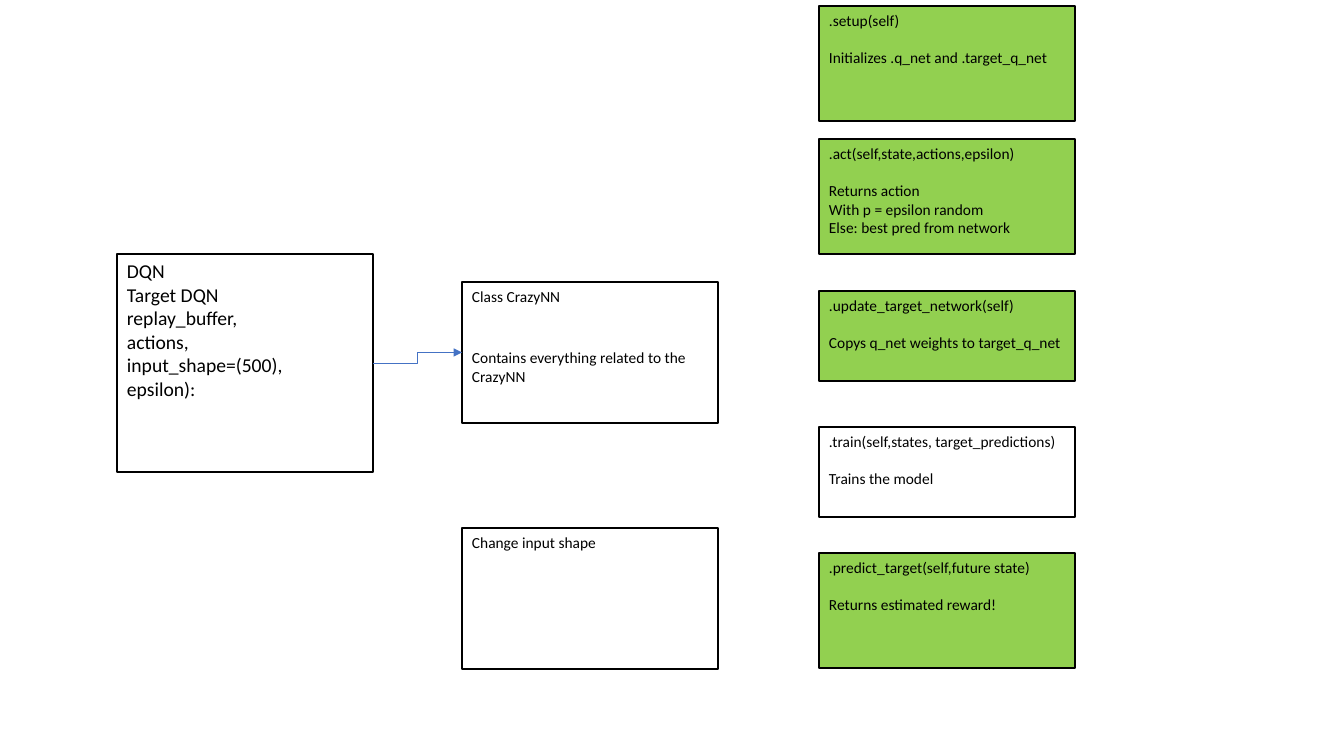
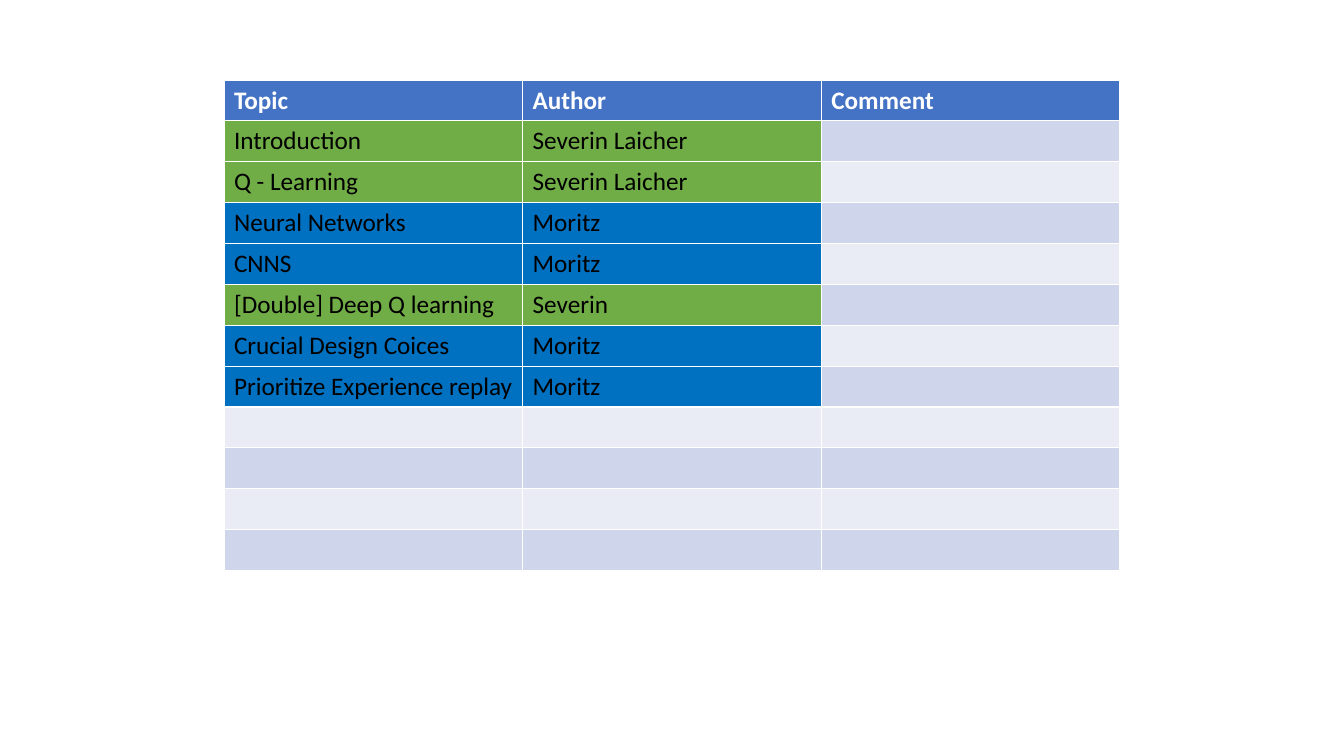
from lxml.etree import SubElement
from pptx import Presentation
from pptx.dml.color import RGBColor
from pptx.enum.shapes import MSO_CONNECTOR, MSO_SHAPE
from pptx.enum.text import MSO_ANCHOR, PP_ALIGN
from pptx.oxml.ns import qn
from pptx.util import Emu, Pt

FONT = "Calibri"
BLACK, WHITE, BLUE = "000000", "FFFFFF", "4472C4"
DONE = "92D050"
BANDS = ("CFD5EA", "E9EBF5")
BOX_WIDTH = 256
METHOD_LEFT, CLASS_LEFT = 819, 462

PARAMETERS = ["DQN", "Target DQN", "replay_buffer,", "actions,", "input_shape=(500),", "epsilon):"]
CLASS_LINES = ["Class CrazyNN", "Contains everything related to the CrazyNN"]
METHODS = [
    (6, 115, DONE, [".setup(self)", "Initializes .q_net and .target_q_net"]),
    (139, 115, DONE, [".act(self,state,actions,epsilon)", "Returns action",
                      "With p = epsilon random", "Else: best pred from network"]),
    (291, 90, DONE, [".update_target_network(self)", "Copys q_net weights to target_q_net"]),
    (427, 90, WHITE, [".train(self,states, target_predictions)", "Trains the model"]),
    (553, 115, DONE, [".predict_target(self,future state)", "Returns estimated reward!"]),
]

HEADERS = ["Topic", "Author", "Comment"]
TOPICS = [
    ("Introduction", "Severin Laicher"),
    ("Q - Learning", "Severin Laicher"),
    ("Neural Networks", "Moritz"),
    ("CNNS", "Moritz"),
    ("[Double] Deep Q learning", "Severin"),
    ("Crucial Design Coices", "Moritz"),
    ("Prioritize Experience replay", "Moritz"),
]
AUTHOR_COLORS = {"Severin": "70AD47", "Moritz": "0070C0"}
ROW_COUNT = 12


def px(length):
    """Turn pixels into EMU."""
    return Emu(round(length * 914400 / 100.8))


def color(value):
    """Turn a hex string into a colour."""
    return RGBColor.from_string(value)


def paint(target, value):
    """Give a shape or cell a solid fill."""
    target.fill.solid()
    target.fill.fore_color.rgb = color(value)


def style(paragraph, size, value=BLACK, bold=False):
    """Set the font of a paragraph."""
    font = paragraph.font
    font.name, font.size, font.bold = FONT, Pt(size), bold
    font.color.rgb = color(value)


def add_box(slide, left, top, height, lines, fill=WHITE, size=11, title_gap=0):
    """Add an outlined box with a gap under its first line."""
    shape = slide.shapes.add_shape(
        MSO_SHAPE.RECTANGLE, px(left), px(top), px(BOX_WIDTH), px(height))
    shape.shadow.inherit = False
    paint(shape, fill)
    shape.line.color.rgb = color(BLACK)
    shape.line.width = Pt(1)
    frame = shape.text_frame
    frame.word_wrap = True
    frame.vertical_anchor = MSO_ANCHOR.TOP
    frame.text = "\n".join(lines)
    for paragraph in frame.paragraphs:
        paragraph.alignment = PP_ALIGN.LEFT
        style(paragraph, size)
    frame.paragraphs[0].space_after = Pt(title_gap)
    return shape


def add_arrow(slide, source, target):
    """Join the right side of one box to the left side of another."""
    connector = slide.shapes.add_connector(MSO_CONNECTOR.ELBOW, 0, 0, 0, 0)
    connector.begin_connect(source, 3)
    connector.end_connect(target, 1)
    connector.line.color.rgb = color(BLUE)
    connector.line.width = Pt(0.5)
    SubElement(connector.line._get_or_add_ln(), qn("a:tailEnd"), type="triangle")
    SubElement(connector._element.spPr, qn("a:effectLst"))


def build_classes(slide):
    """Draw the network class and its methods."""
    parameters = add_box(slide, 117, 254, 218, PARAMETERS, size=14)
    network = add_box(slide, CLASS_LEFT, 282, 141, CLASS_LINES, title_gap=30.5)
    add_arrow(slide, parameters, network)
    add_box(slide, CLASS_LEFT, 528, 141, ["Change input shape"])
    for top, height, fill, lines in METHODS:
        add_box(slide, METHOD_LEFT, top, height, lines, fill, title_gap=13.4)


def fill_cell(cell, text, fill, value=BLACK, bold=False):
    """Write and colour one table cell."""
    paint(cell, fill)
    cell.text = text
    style(cell.text_frame.paragraphs[0], 18, value, bold)


def build_topics(slide):
    """Draw the table of topics and authors."""
    table = slide.shapes.add_table(
        ROW_COUNT, len(HEADERS), px(224), px(80), px(896), px(490)).table
    for column, header in enumerate(HEADERS):
        fill_cell(table.cell(0, column), header, BLUE, WHITE, True)
    for row in range(1, ROW_COUNT):
        band = BANDS[(row - 1) % 2]
        texts = TOPICS[row - 1] if row <= len(TOPICS) else ("", "")
        fill = AUTHOR_COLORS[texts[1].split()[0]] if texts[1] else band
        for column, text in enumerate((*texts, "")):
            fill_cell(table.cell(row, column), text, fill if column < 2 else band)


def main():
    """Build and save the presentation."""
    presentation = Presentation()
    presentation.slide_width, presentation.slide_height = px(1344), px(756)
    for build in (build_classes, build_topics):
        build(presentation.slides.add_slide(presentation.slide_layouts[6]))
    presentation.save("out.pptx")


if __name__ == "__main__":
    main()
